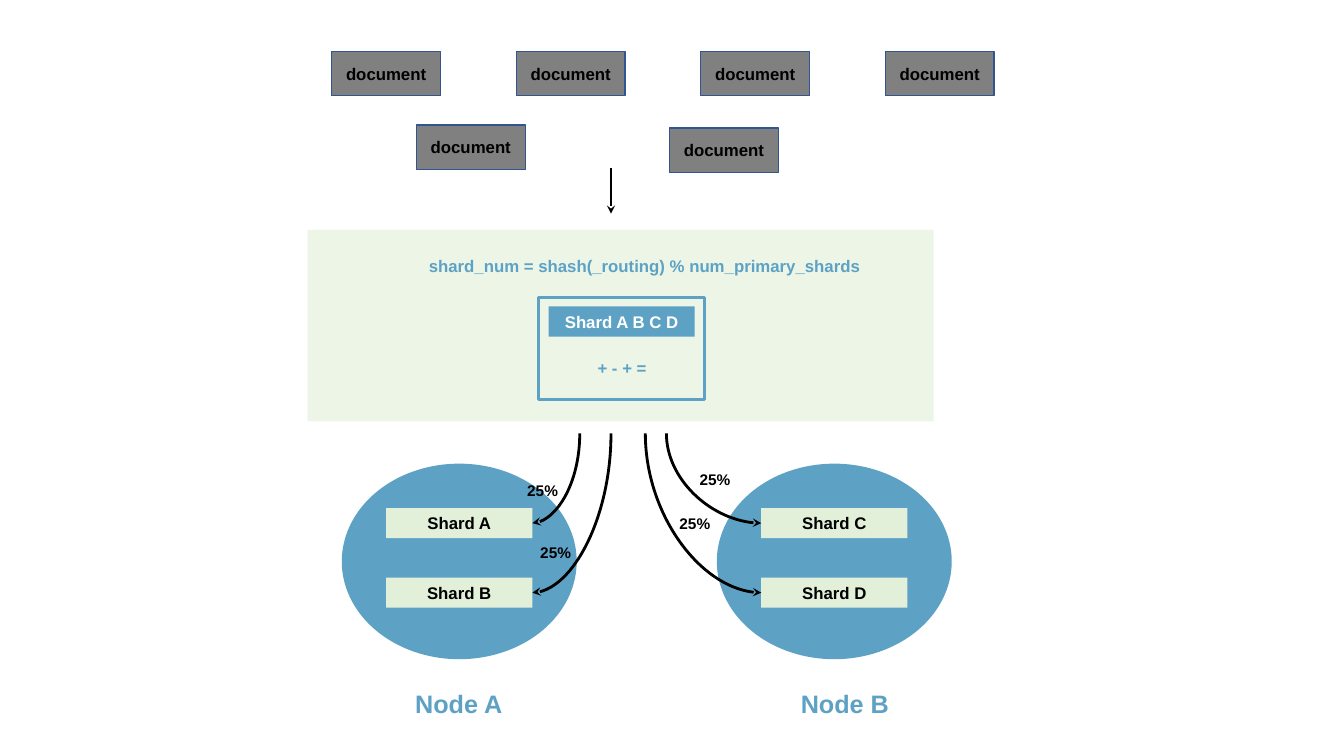
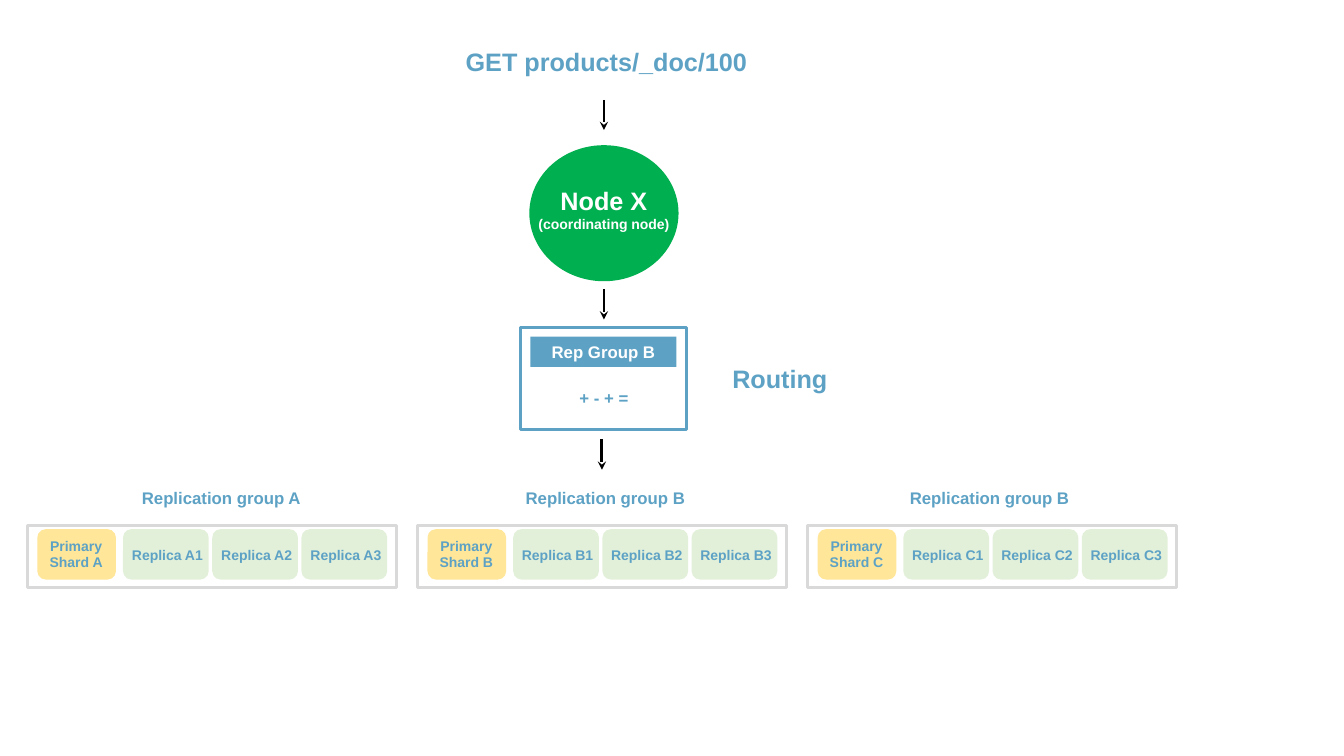
"""Build two slides on how documents are routed to shards and replication groups."""
from lxml.etree import SubElement
from pptx import Presentation
from pptx.dml.color import RGBColor
from pptx.enum.shapes import MSO_CONNECTOR, MSO_SHAPE
from pptx.enum.text import MSO_ANCHOR, MSO_AUTO_SIZE, PP_ALIGN
from pptx.oxml.ns import qn
from pptx.util import Inches, Pt

BLUE = RGBColor(0x5D, 0xA2, 0xC5)
GREEN = RGBColor(0x00, 0xB0, 0x50)
MINT = RGBColor(0xE2, 0xF0, 0xD9)
YELLOW = RGBColor(0xFF, 0xE6, 0x99)
GRAY = RGBColor(0x80, 0x80, 0x80)
SILVER = RGBColor(0xD9, 0xD9, 0xD9)
NAVY = RGBColor(0x32, 0x54, 0x91)
BLACK = RGBColor(0x00, 0x00, 0x00)
WHITE = RGBColor(0xFF, 0xFF, 0xFF)

FONT = "Arial"
LARGE, NORMAL, PERCENT, SMALL = 18, 12, 11, 10
STROKE = 2
BAR_WIDTH, BAR_HEIGHT = 1.45, 0.3

FORMULA = "shard_num = shash(_routing) % num_primary_shards"
SYMBOLS = "+ - + ="
DOCUMENT_STEP = 1.83
DOCUMENTS = [(3.29 + DOCUMENT_STEP * column, 0.51) for column in range(4)]
DOCUMENTS += [(4.13, 1.24), (6.64, 1.27)]
NODES = [("Node A", ["Shard A", "Shard B"]), ("Node B", ["Shard C", "Shard D"])]
NODE_LEFT, NODE_STEP = 3.39, 3.72
SHARD_TOP, SHARD_STEP = 5.04, 0.69
ROUTE_STARTS = [(5.75, 6.06), (6.61, 6.4)]
ROUTE_TOP = 4.3
SHARES = [("25%", 5.13, 4.72), ("25%", 5.26, 5.34),
          ("25%", 6.84, 4.61), ("25%", 6.64, 5.05)]

REQUEST = "GET products/_doc/100"
COORDINATOR = [("Node X", LARGE), ("(coordinating node)", SMALL)]
GROUPS = [("Replication group A", "A"), ("Replication group B", "B"),
          ("Replication group B", "C")]
GROUP_LEFT, GROUP_TOP, GROUP_STEP = 0.27, 5.21, 3.87
TITLE_LEFT, TITLE_STEP = 1.07, 3.81
REPLICA_OFFSET, REPLICA_STEP = 0.95, 0.885
ARROWS = [(5.99, 0.99), (5.99, 2.87), (5.97, 4.36)]
ARROW_LENGTH = 0.3


def write(box, lines, color, align=PP_ALIGN.CENTER):
    """Fill a box with (text, size) lines in the shared bold style."""
    frame = box.text_frame
    frame.word_wrap = True
    frame.text = "\n".join(text for text, size in lines)
    for para, (text, size) in zip(frame.paragraphs, lines):
        para.alignment = align
        for span in para.runs:
            span.font.name, span.font.size, span.font.bold = FONT, Pt(size), True
            span.font.color.rgb = color


def add_label(shapes, area, lines, color=BLUE, align=PP_ALIGN.CENTER):
    """Add a text box that grows with its lines."""
    box = shapes.add_textbox(*map(Inches, area))
    write(box, lines, color, align)
    box.text_frame.auto_size = MSO_AUTO_SIZE.SHAPE_TO_FIT_TEXT


def add_block(shapes, kind, area, fill=None, line=None, weight=STROKE):
    """Add a flat preset shape, empty or filled, with an optional outline."""
    block = shapes.add_shape(kind, *map(Inches, area))
    block.shadow.inherit = False
    if fill is None:
        block.fill.background()
    else:
        block.fill.solid()
        block.fill.fore_color.rgb = fill
    if line is None:
        block.line.fill.background()
    else:
        block.line.color.rgb = line
        block.line.width = Pt(weight)
    return block


def add_bar(shapes, left, top, text, fill, color):
    """Add a filled bar with one centred line of text."""
    bar = add_block(shapes, MSO_SHAPE.RECTANGLE,
                    (left, top, BAR_WIDTH, BAR_HEIGHT), fill)
    write(bar, [(text, NORMAL)], color)
    bar.text_frame.vertical_anchor = MSO_ANCHOR.TOP
    bar.text_frame.auto_size = MSO_AUTO_SIZE.SHAPE_TO_FIT_TEXT


def add_arrow(shapes, kind, start, end, weight=STROKE):
    """Add a black connector with a stealth head at its end."""
    arrow = shapes.add_connector(kind, *map(Inches, start + end))
    arrow.line.color.rgb = BLACK
    arrow.line.width = Pt(weight)
    SubElement(arrow.line._get_or_add_ln(), qn("a:tailEnd"), type="stealth")
    SubElement(arrow._element.spPr, qn("a:effectLst"))
    return arrow


def add_route(shapes, start, end):
    """Add a curved arrow that leaves downwards and arrives sideways."""
    (x1, y1), (x2, y2) = start, end
    middle_x, middle_y = (x1 + x2) / 2, (y1 + y2) / 2
    half_width, half_height = (y2 - y1) / 2, abs(x2 - x1) / 2
    rightward = x2 > x1
    if rightward:
        half_width = -half_width
    route = add_arrow(shapes, MSO_CONNECTOR.CURVE,
                      (middle_x - half_width, middle_y - half_height),
                      (middle_x + half_width, middle_y + half_height))
    properties = route._element.spPr
    properties.find(qn("a:prstGeom")).set("prst", "curvedConnector2")
    degrees = 270 if rightward else 90
    properties.find(qn("a:xfrm")).set("rot", str(degrees * 60000))


def add_calculator(page, left, top, text):
    """Add the grouped routing calculator."""
    shapes = page.shapes.add_group_shape().shapes
    add_block(shapes, MSO_SHAPE.RECTANGLE, (left, top, 1.65, 1.01), line=BLUE)
    add_bar(shapes, left + 0.1, top + 0.09, text, BLUE, WHITE)
    add_label(shapes, (left + 0.27, top + 0.55, 1.12, 0.3), [(SYMBOLS, NORMAL)])


def add_replication_group(page, left, letter):
    """Add a frame with one primary shard and three replicas."""
    shapes = page.shapes.add_group_shape().shapes
    add_block(shapes, MSO_SHAPE.RECTANGLE, (left, GROUP_TOP, 3.66, 0.62), line=SILVER)
    chip_top = GROUP_TOP + 0.04
    add_block(shapes, MSO_SHAPE.ROUNDED_RECTANGLE,
              (left + 0.1, chip_top, 0.78, 0.5), YELLOW)
    add_label(shapes, (left, chip_top + 0.03, 0.97, 0.44),
              [("Primary", SMALL), (f"Shard {letter}", SMALL)])
    for number in range(3):
        chip_left = left + REPLICA_OFFSET + REPLICA_STEP * number
        add_block(shapes, MSO_SHAPE.ROUNDED_RECTANGLE,
                  (chip_left, chip_top, 0.85, 0.5), MINT)
        add_label(shapes, (chip_left - 0.15, chip_top + 0.12, 1.18, 0.27),
                  [(f"Replica {letter}{number + 1}", SMALL)])


def build_indexing(page):
    """Show documents being spread over the shards of two nodes."""
    shapes = page.shapes
    band = add_block(shapes, MSO_SHAPE.RECTANGLE, (3.05, 2.28, 6.21, 1.9), MINT)
    tint = band._element.spPr.find(qn("a:solidFill"))[0]
    SubElement(tint, qn("a:alpha"), val="64000")
    add_calculator(page, 5.34, 2.95, "Shard A B C D")
    add_label(shapes, (4.06, 2.49, 4.67, 0.3), [(FORMULA, NORMAL)])
    for left, top in DOCUMENTS:
        card = add_block(shapes, MSO_SHAPE.RECTANGLE,
                         (left, top, 1.08, 0.44), GRAY, NAVY, 1)
        write(card, [("document", NORMAL)], BLACK)
    add_arrow(shapes, MSO_CONNECTOR.STRAIGHT, (6.06, 1.67), (6.06, 2.12), 1.5)
    for column, (name, shards) in enumerate(NODES):
        left = NODE_LEFT + NODE_STEP * column
        bar_left = left + 0.44
        add_block(shapes, MSO_SHAPE.OVAL, (left, 4.6, 2.33, 1.94), BLUE)
        add_label(shapes, (left + 0.5 + 0.11 * column, 6.78, 1.32, 0.4), [(name, LARGE)])
        inner_edge = bar_left if column else bar_left + BAR_WIDTH
        for row, (shard, start) in enumerate(zip(shards, ROUTE_STARTS[column])):
            top = SHARD_TOP + SHARD_STEP * row
            add_bar(shapes, bar_left, top, shard, MINT, BLACK)
            add_route(shapes, (start, ROUTE_TOP), (inner_edge, top + BAR_HEIGHT / 2))
    for text, left, top in SHARES:
        add_label(shapes, (left, top, 0.6, 0.29), [(text, PERCENT)], BLACK, PP_ALIGN.LEFT)


def build_reading(page):
    """Show a request being routed to a replication group."""
    shapes = page.shapes
    add_label(shapes, (3.68, 0.41, 4.67, 0.4), [(REQUEST, LARGE)])
    add_block(shapes, MSO_SHAPE.OVAL, (5.25, 1.44, 1.48, 1.35), GREEN)
    add_label(shapes, (5.11, 1.79, 1.76, 0.58), COORDINATOR, WHITE)
    add_calculator(page, 5.16, 3.25, "Rep Group B")
    add_label(shapes, (6.91, 3.56, 1.65, 0.4), [("Routing", LARGE)])
    for column, (title, letter) in enumerate(GROUPS):
        add_replication_group(page, GROUP_LEFT + GROUP_STEP * column, letter)
        add_label(shapes, (TITLE_LEFT + TITLE_STEP * column, 4.79, 2.25, 0.3),
                  [(title, NORMAL)])
    for x, top in ARROWS:
        add_arrow(shapes, MSO_CONNECTOR.STRAIGHT, (x, top), (x, top + ARROW_LENGTH))


deck = Presentation()
deck.slide_width, deck.slide_height = Inches(13.33), Inches(7.5)
for build in (build_indexing, build_reading):
    build(deck.slides.add_slide(deck.slide_layouts[6]))
deck.save("out.pptx")
